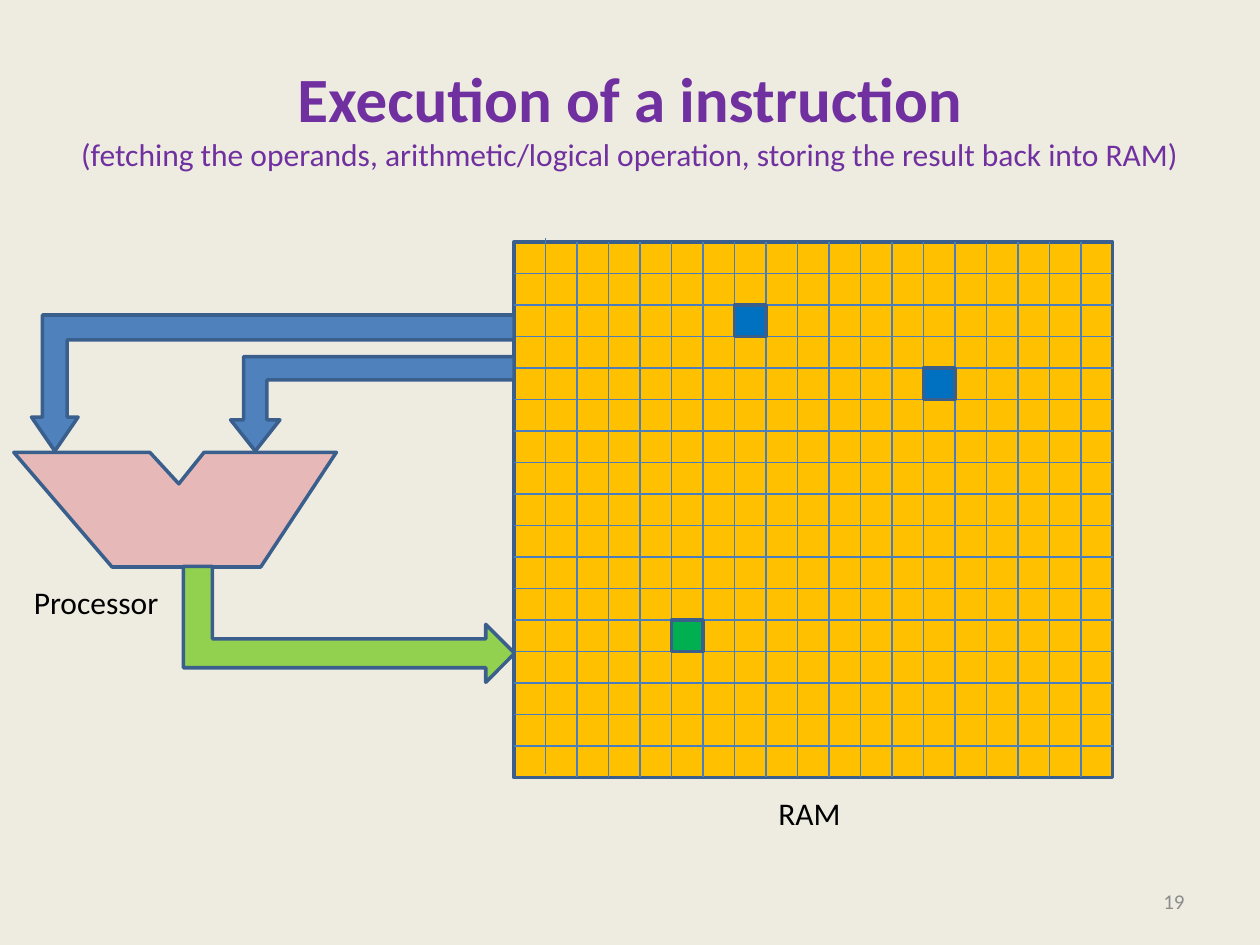
from lxml import etree
from pptx import Presentation
from pptx import util as u
from pptx.dml.color import RGBColor
from pptx.enum import shapes, text
from pptx.oxml.ns import qn

CELL = 0.25
COLS, ROWS = 19, 17
EDGE = "3A5F8C"
RULE = "4B7EBC"
VIOLET = "7030A0"
KIND = shapes.MSO_SHAPE
ALIGN = text.PP_ALIGN
FIT = text.MSO_AUTO_SIZE


def color(code):
    return RGBColor.from_string(code)


def point(box, x, y):
    return u.Inches(box[0] + x * CELL), u.Inches(box[1] + y * CELL)


def place(box, x, y, wide, high):
    return *point(box, x, y), u.Inches(wide * CELL), u.Inches(high * CELL)


def paint(shape, fill):
    shape.shadow.inherit = False
    shape.fill.solid()
    shape.fill.fore_color.rgb = color(fill)
    shape.line.color.rgb = color(EDGE)
    shape.line.width = u.Pt(2)


def block(parent, kind, area, fill, turn=0, adjust=()):
    shape = parent.add_shape(kind, *area)
    paint(shape, fill)
    shape.rotation = turn
    for i, value in enumerate(adjust):
        shape.adjustments[i] = value


def rule(parent, start, end):
    line = parent.add_connector(shapes.MSO_CONNECTOR.STRAIGHT, *start, *end)
    line.line.color.rgb = color(RULE)
    line.line.width = u.Pt(0.75)
    etree.SubElement(line._element.spPr, qn("a:effectLst"))


def style(font, size, code, bold=False):
    font.name = "Calibri"
    font.size = u.Pt(size)
    font.bold = bold
    font.color.rgb = color(code)


def frame(parent, area, align, wrap=True):
    body = parent.add_textbox(*area).text_frame
    body.word_wrap = wrap
    body.auto_size = FIT.NONE if wrap else FIT.SHAPE_TO_FIT_TEXT
    body.vertical_anchor = text.MSO_ANCHOR.MIDDLE if wrap else text.MSO_ANCHOR.TOP
    para = body.paragraphs[0]
    para.alignment = align
    return para


def label(parent, area, words):
    para = frame(parent, area, ALIGN.LEFT, wrap=False)
    para.text = words
    style(para.font, 18, "000000")


def heading(parent, box):
    para = frame(parent, place(box, 0, 0, 36, 5), ALIGN.CENTER)
    head = para.add_run()
    head.text = "Execution of a instruction"
    style(head.font, 36, VIOLET, True)
    para.add_line_break()
    note = para.add_run()
    note.text = ("(fetching the operands, arithmetic/logical operation, "
                 "storing the result back into RAM)")
    style(note.font, 18, VIOLET)


def number(parent, box):
    para = frame(parent, place(box, 0, 0, 9.32, 1.6), ALIGN.RIGHT)
    para.text = "19"
    style(para.font, 12, "8C8C8C")


def memory(parent, box):
    block(parent, KIND.RECTANGLE, place(box, 0, 0, COLS, ROWS), "FFC000")
    for col in range(1, COLS):
        lift = -0.12 if col == 1 else 0
        rule(parent, point(box, col, lift), point(box, col, ROWS + lift))
    for row in range(1, ROWS):
        rule(parent, point(box, 0, row), point(box, COLS, row))
    label(parent, place(box, 8, 17.32, 2.8, 1.6), "RAM")


def values(parent, box):
    inputs = parent.add_group_shape().shapes
    for col, row in ((7, 2), (13, 4)):
        block(inputs, KIND.RECTANGLE, place(box, col, row, 1, 1), "0070C0")
    block(parent, KIND.RECTANGLE, place(box, 5, 12, 1, 1), "00B050")


def processor(parent, box):
    label(parent, place(box, 0.36, 10.64, 4.8, 1.6), "Processor")
    outline = [(0.12, 6.68), (4.44, 6.68), (5.36, 7.68), (6.16, 6.68),
               (10.36, 6.68), (7.96, 10.32), (3.24, 10.32)]
    first, *rest = [point(box, x, y) for x, y in outline]
    path = parent.build_freeform(*first)
    path.add_line_segments(rest, close=True)
    paint(path.convert_to_shape(), "E6B9B8")


def buses(parent, box):
    fetch = parent.add_group_shape().shapes
    for area, adjust in (
        ((0.68, 2.32, 15.32, 4.32), (0.182, 0.171, 0.25)),
        ((7, 3.64, 9, 3), (0.247, 0.261, 0.331)),
    ):
        block(fetch, KIND.BENT_UP_ARROW, place(box, *area), "4F81BD", 180, adjust)
    block(parent, KIND.BENT_UP_ARROW, place(box, 8.92, 6.88, 3.68, 10.52),
          "92D050", 90)


def main():
    deck = Presentation()
    deck.slide_width, deck.slide_height = u.Inches(10), u.Inches(7.5)
    slide = deck.slides.add_slide(deck.slide_layouts[6])
    slide.background.fill.solid()
    slide.background.fill.fore_color.rgb = color("EEECE1")
    parts = slide.shapes
    ram = (4.08, 1.92)
    core = (ram[0] - 16 * CELL, ram[1])
    heading(parts, (0.5, 0.3))
    number(parts, (7.17, 6.95))
    memory(parts, ram)
    processor(parts, core)
    buses(parts, core)
    values(parts, ram)
    deck.save("out.pptx")


if __name__ == "__main__":
    main()
